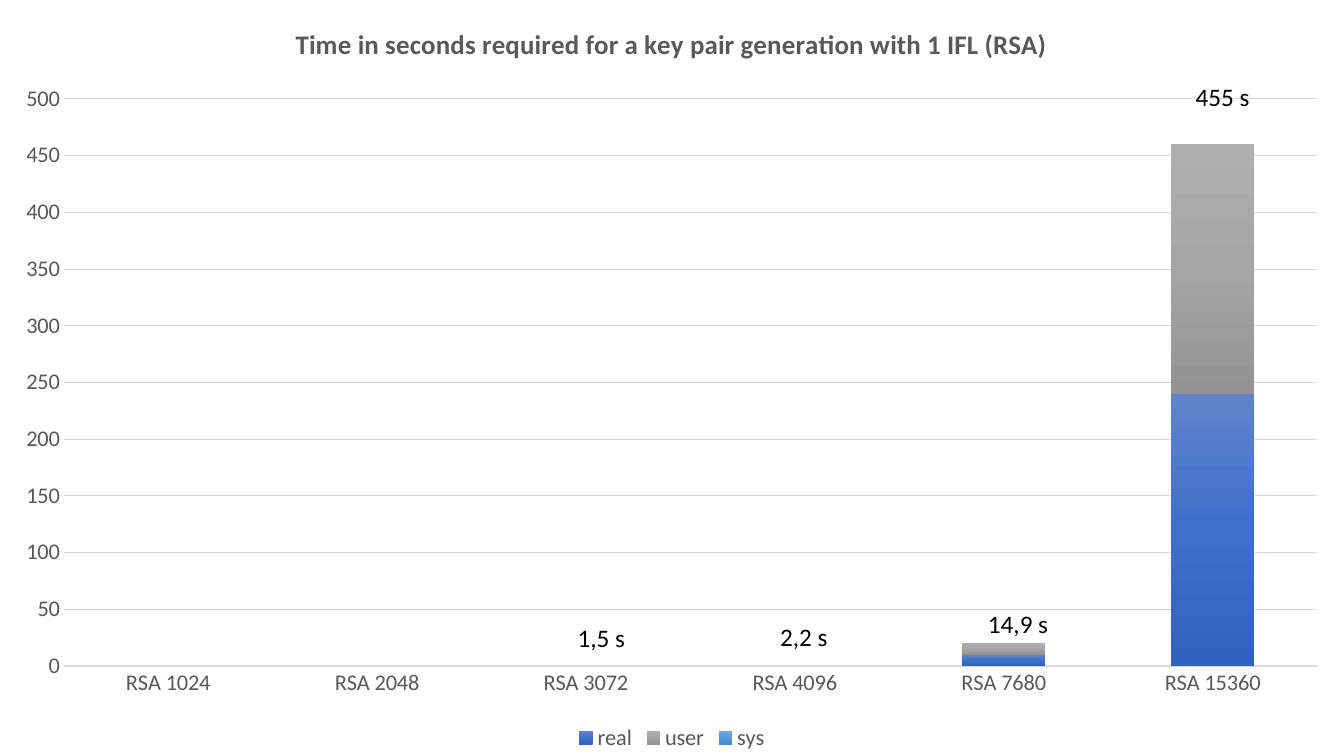
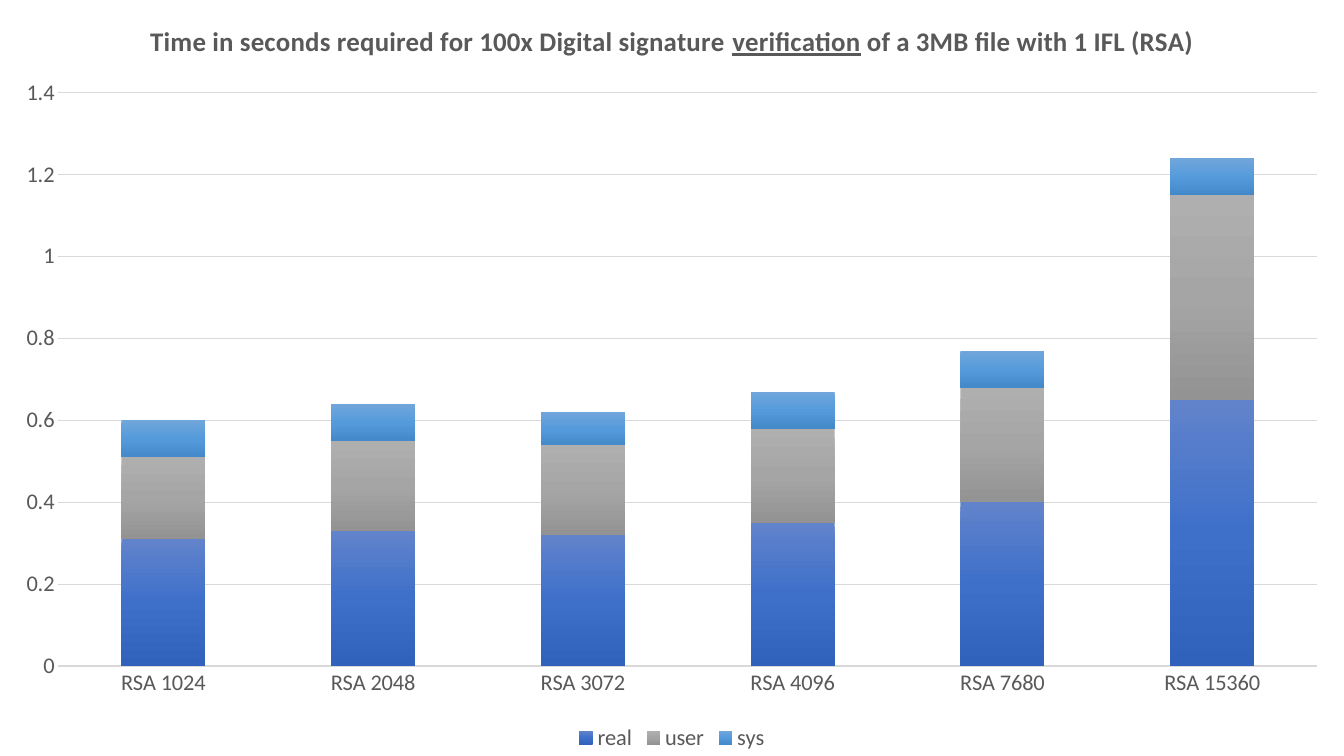
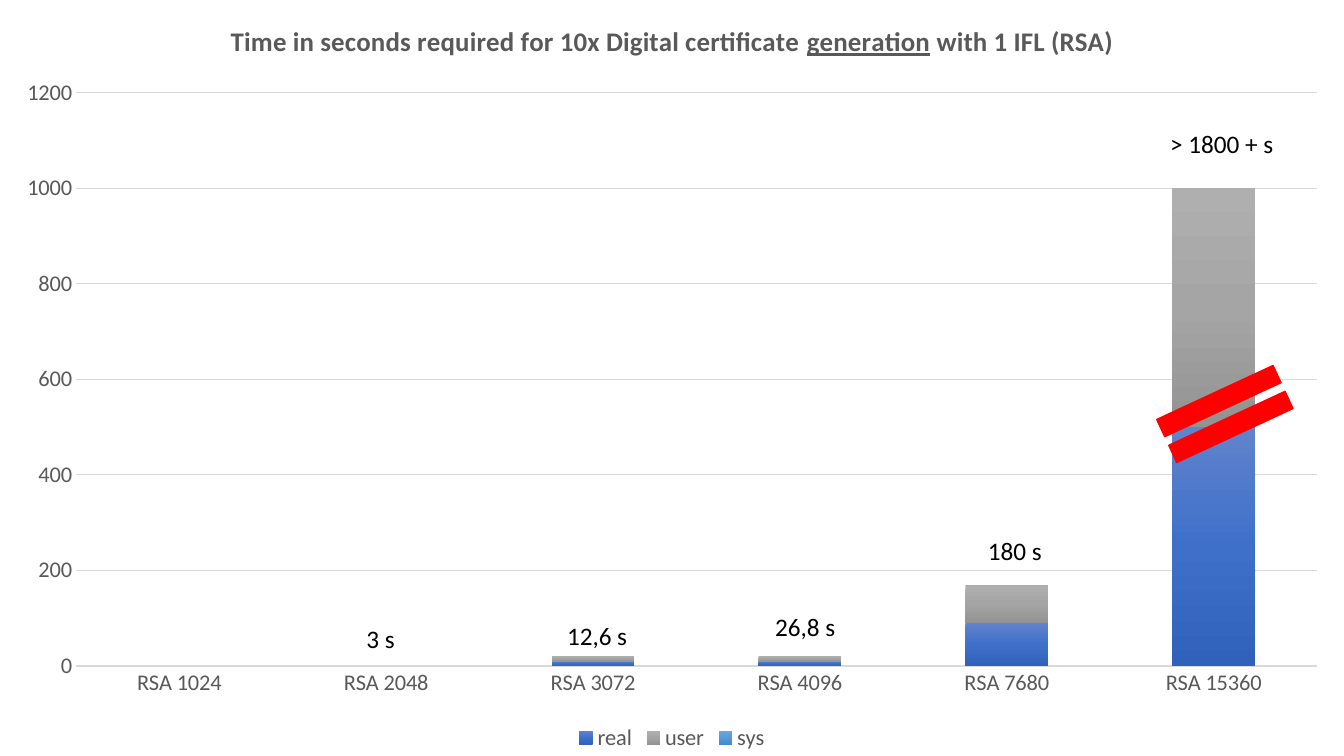
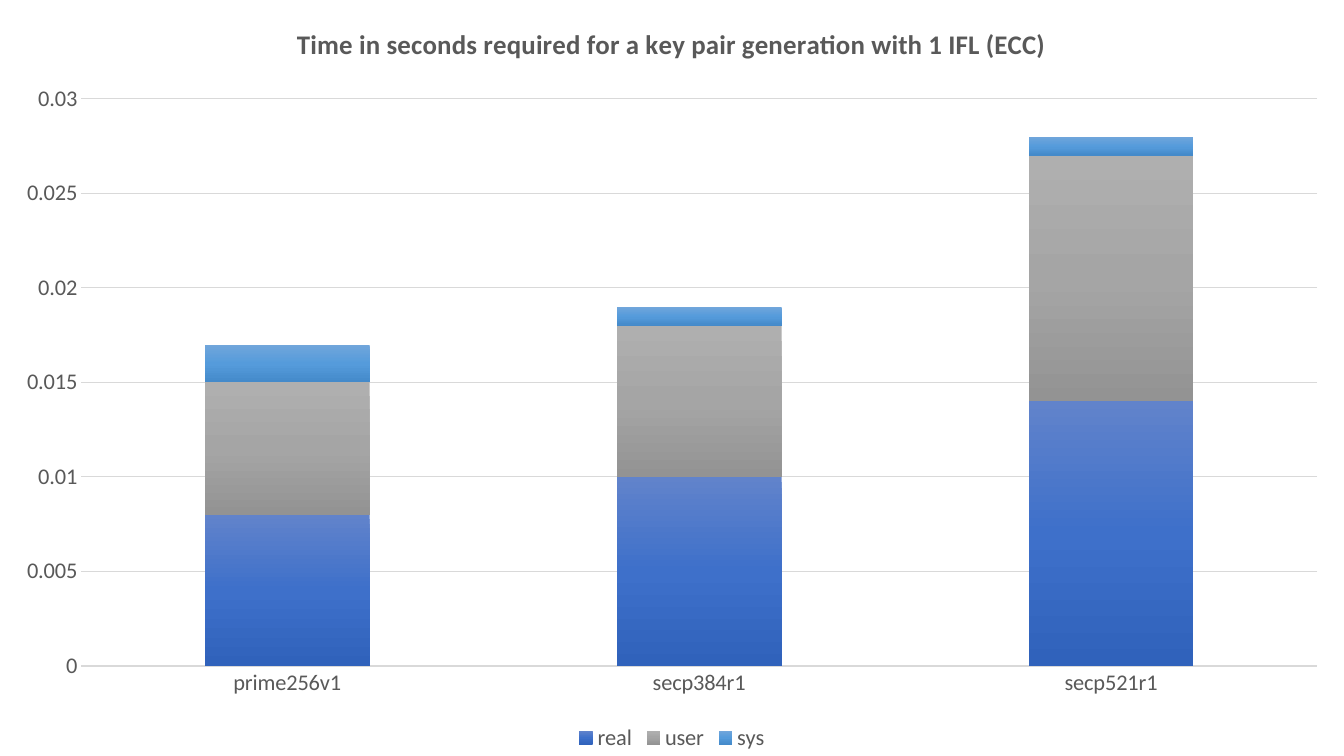
from lxml import etree
from pptx import Presentation
from pptx.chart.data import CategoryChartData
from pptx.dml.color import RGBColor
from pptx.enum.chart import XL_CHART_TYPE as ChartType
from pptx.enum.chart import XL_LEGEND_POSITION as LegendPosition
from pptx.enum.chart import XL_TICK_MARK as TickMark
from pptx.enum.shapes import MSO_SHAPE as Shape
from pptx.enum.text import MSO_AUTO_SIZE as AutoSize
from pptx.oxml import parse_xml
from pptx.oxml.ns import nsdecls, qn
from pptx.util import Inches, Pt

FONT = "Calibri"
GREY, GRID, BLACK, RED = "595959", "D9D9D9", "000000", "FF0000"
SERIES_GRADIENTS = {
    "real": ("6183CB", "3E70CA", "3062BB"),
    "user": ("AFAFAF", "A5A5A5", "939393"),
    "sys": ("71A6DB", "559BDB", "448ACA"),
}
RSA_KEYS = [f"RSA {bits}" for bits in (1024, 2048, 3072, 4096, 7680, 15360)]
ECC_CURVES = ["prime256v1", "secp384r1", "secp521r1"]

# All positions and sizes are in percent of the slide.
PLOT_RIGHT, PLOT_BOTTOM = 98, 88.1
LEGEND_LEFT, LEGEND_TOP = 42.55, 95.2
LABEL_HEIGHT = 5.33

# Underscores enclose the underlined word of a title.
# "axis" is maximum and step, "plot" is left and top of the plot area.
# Labels are text, left, top and width.
SLIDES = [
    {
        "title": "Time in seconds required for a key pair generation with 1 IFL (RSA)",
        "categories": RSA_KEYS,
        "values": [
            (0, 0, 0, 0, 10, 240),
            (0, 0, 0, 0, 10, 220),
            (0, 0, 0, 0, 0, 0),
        ],
        "axis": (500, 50),
        "plot": (4.75, 13.1),
        "labels": [
            ("1,5 s", 42.24, 81.6, 5.1),
            ("2,2 s", 57.31, 81.47, 5.1),
            ("14,9 s", 72.77, 79.8, 6.08),
            ("455 s", 88.22, 10.13, 5.55),
        ],
    },
    {
        "title": "Time in seconds required for 100x Digital signature "
                 "_verification_ of a 3MB file with 1 IFL (RSA)",
        "categories": RSA_KEYS,
        "values": [
            (0.31, 0.33, 0.32, 0.35, 0.4, 0.65),
            (0.2, 0.22, 0.22, 0.23, 0.28, 0.5),
            (0.09, 0.09, 0.08, 0.09, 0.09, 0.09),
        ],
        "axis": (1.4, 0.2),
        "plot": (4.35, 12.3),
        "labels": [],
    },
    {
        "title": "Time in seconds required for 10x Digital certificate "
                 "_generation_ with 1 IFL (RSA)",
        "categories": RSA_KEYS,
        "values": [
            (0, 0, 10, 10, 90, 500),
            (0, 0, 10, 10, 80, 500),
            (0, 0, 0, 0, 0, 0),
        ],
        "axis": (1200, 200),
        "plot": (5.65, 12.3),
        "labels": [
            ("3 s", 26.52, 81.73, 3.68),
            ("12,6 s", 41.45, 81.33, 6.08),
            ("26,8 s", 56.94, 80.27, 6.08),
            ("180 s", 72.77, 70.13, 5.55),
            ("> 1800 + s", 86.33, 16.27, 9.3),
        ],
        "axis_break": (84.65, 49.43, 12.98, 10.67),
    },
    {
        "title": "Time in seconds required for a key pair generation with 1 IFL (ECC)",
        "categories": ECC_CURVES,
        "values": [
            (0.008, 0.01, 0.014),
            (0.007, 0.008, 0.013),
            (0.002, 0.001, 0.001),
        ],
        "axis": (0.03, 0.005),
        "plot": (6.05, 13.1),
        "labels": [],
    },
]


def style_font(font, size, color):
    font.name = FONT
    font.size = Pt(size)
    font.color.rgb = RGBColor.from_string(color)


def set_layout(element, index, modes, **percentages):
    """Place a chart part by hand, with its layout as child number index."""
    for old_layout in element.findall(qn("c:layout")):
        element.remove(old_layout)
    layout = etree.Element(qn("c:layout"))
    manual = etree.SubElement(layout, qn("c:manualLayout"))
    shares = {name: f"{value / 100:.4f}" for name, value in percentages.items()}
    for name, value in {**modes, **shares}.items():
        etree.SubElement(manual, qn(f"c:{name}")).set("val", value)
    element.insert(index, layout)


presentation = Presentation()
presentation.slide_width = width = Inches(13.33)
presentation.slide_height = height = Inches(7.5)
percent_x, percent_y = width / 100, height / 100
edge_modes = {"xMode": "edge", "yMode": "edge"}

for content in SLIDES:
    slide = presentation.slides.add_slide(presentation.slide_layouts[6])

    chart_data = CategoryChartData()
    chart_data.categories = content["categories"]
    for name, values in zip(SERIES_GRADIENTS, content["values"]):
        chart_data.add_series(name, values)
    chart = slide.shapes.add_chart(
        ChartType.COLUMN_STACKED, 0, 0, width, height, chart_data).chart
    style_font(chart.font, 16, BLACK)

    chart.has_title = True
    paragraph = chart.chart_title.text_frame.paragraphs[0]
    for number, text in enumerate(content["title"].split("_")):
        run = paragraph.add_run()
        run.text = text
        style_font(run.font, 19.2, GREY)
        run.font.bold = True
        run.font.underline = number % 2 == 1

    plot = chart.plots[0]
    plot.gap_width, plot.overlap = 150, 100
    plot.vary_by_categories = False
    for series, colors in zip(plot.series, SERIES_GRADIENTS.values()):
        stops = "".join(
            f'<a:gs pos="{position}"><a:srgbClr val="{color}"/></a:gs>'
            for position, color in zip((0, 50000, 100000), colors))
        series.format.fill.background()
        properties = series._element.get_or_add_spPr()
        properties.replace(properties.find(qn("a:noFill")), parse_xml(
            f'<a:gradFill {nsdecls("a")} rotWithShape="1"><a:gsLst>{stops}</a:gsLst>'
            '<a:lin ang="5400000" scaled="0"/></a:gradFill>'))

    category_axis, value_axis = chart.category_axis, chart.value_axis
    for axis in (category_axis, value_axis):
        axis.major_tick_mark = axis.minor_tick_mark = TickMark.NONE
        style_font(axis.tick_labels.font, 16, GREY)
    category_axis.format.line.color.rgb = RGBColor.from_string(GRID)
    category_axis.format.line.width = Pt(1)
    value_axis.format.line.fill.background()
    value_axis.minimum_scale = 0
    value_axis.maximum_scale, value_axis.major_unit = content["axis"]
    value_axis.has_major_gridlines = True
    grid_line = value_axis.major_gridlines.format.line
    grid_line.color.rgb = RGBColor.from_string(GRID)
    grid_line.width = Pt(0.75)

    chart.has_legend = True
    chart.legend.position = LegendPosition.BOTTOM
    chart.legend.include_in_layout = False
    style_font(chart.legend.font, 16, GREY)
    set_layout(chart.legend._element, 1, edge_modes, x=LEGEND_LEFT, y=LEGEND_TOP)
    left, top = content["plot"]
    set_layout(
        chart._chartSpace.chart.plotArea, 0, {"layoutTarget": "inner", **edge_modes},
        x=left, y=top, w=PLOT_RIGHT - left, h=PLOT_BOTTOM - top)

    for text, left, top, label_width in content["labels"]:
        label = slide.shapes.add_textbox(
            int(left * percent_x), int(top * percent_y),
            int(label_width * percent_x), int(LABEL_HEIGHT * percent_y))
        label.text_frame.word_wrap = False
        label.text_frame.auto_size = AutoSize.SHAPE_TO_FIT_TEXT
        run = label.text_frame.paragraphs[0].add_run()
        run.text = text
        style_font(run.font, 18, BLACK)

    if "axis_break" in content:
        left, top, break_width, break_height = content["axis_break"]
        axis_break = slide.shapes.add_shape(
            Shape.MATH_EQUAL, int(left * percent_x), int(top * percent_y),
            int(break_width * percent_x), int(break_height * percent_y))
        axis_break.rotation = 335.1
        axis_break.shadow.inherit = False
        axis_break.fill.solid()
        axis_break.fill.fore_color.rgb = RGBColor.from_string(RED)
        axis_break.line.color.rgb = RGBColor.from_string(RED)
        axis_break.line.width = Pt(1)

presentation.save("out.pptx")
